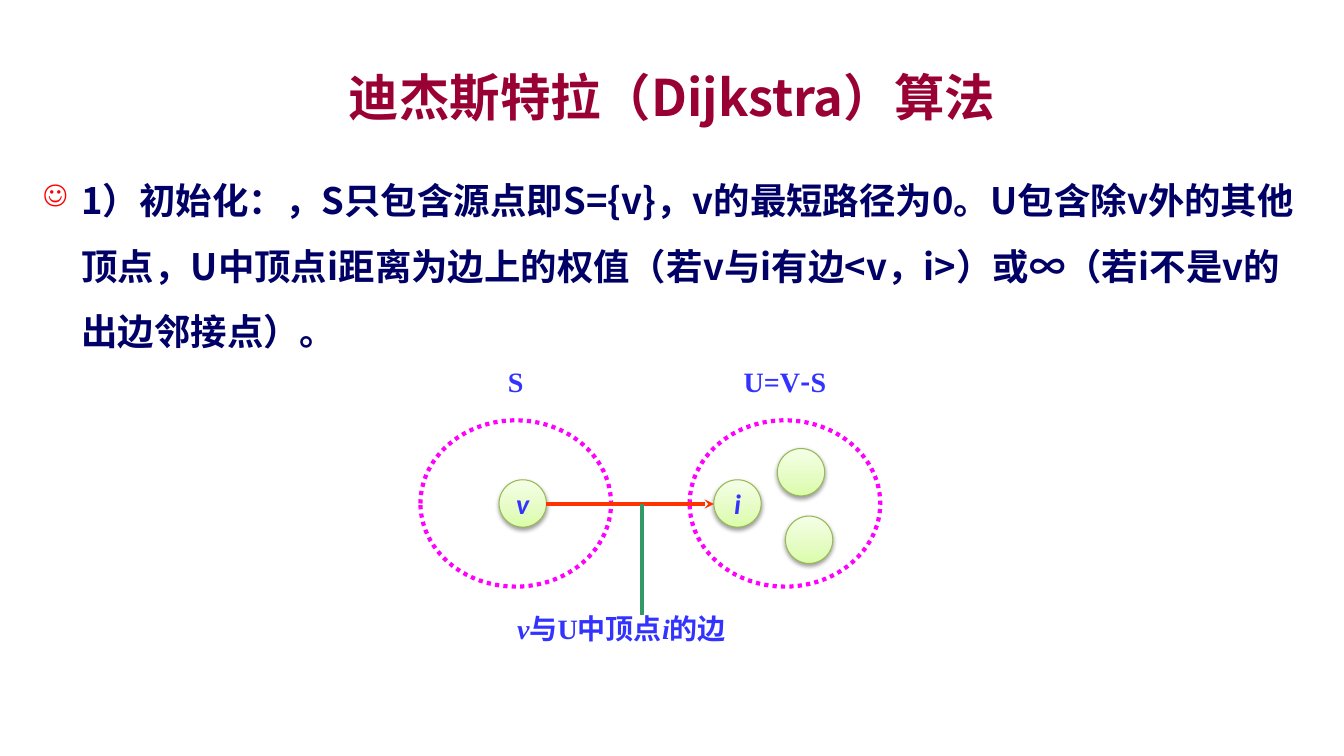
from lxml import etree
from pptx import Presentation
from pptx.dml.color import RGBColor
from pptx.enum.dml import MSO_LINE
from pptx.enum.shapes import MSO_CONNECTOR, MSO_SHAPE
from pptx.enum.text import MSO_ANCHOR, MSO_AUTO_SIZE, PP_ALIGN
from pptx.oxml import parse_xml
from pptx.oxml.ns import nsdecls, qn
from pptx.util import Inches, Pt

OVAL = MSO_SHAPE.OVAL
STRAIGHT = MSO_CONNECTOR.STRAIGHT
CENTER, LEFT = PP_ALIGN.CENTER, PP_ALIGN.LEFT
TOP, MIDDLE = MSO_ANCHOR.TOP, MSO_ANCHOR.MIDDLE
FIT = MSO_AUTO_SIZE.TEXT_TO_FIT_SHAPE

# Content
TITLE = "迪杰斯特拉（Dijkstra）算法"
STEP = ("1）初始化：，S只包含源点即S={v}，v的最短路径为0。"
        "U包含除v外的其他顶点，U中顶点i距离为边上的权值"
        "（若v与i有边<v，i>）或∞（若i不是v的出边邻接点）。")
# Sets: left edge, label width, label runs as (text, font)
SETS = [
    (4.17, 0.63, [("S", "serif")]),
    (6.84, 1.1, [("U=V", "serif"), ("-", "cjk"), ("S", "serif")]),
]
# Vertices: left, top, name
VERTICES = [(4.95, 4.76, "v"), (7.08, 4.76, "i"), (7.79, 5.12, ""), (7.71, 4.45, "")]
# Caption runs: text, italic
CAPTION = [("v", True), ("与U中顶点", False), ("i", True), ("的边", False)]

THEME = {
    "cjk": "Noto Sans CJK SC", "serif": "Times New Roman", "sans": "Calibri",
    "title": "990033", "body": "000066", "bullet": "FF0000", "label": "3333FF",
    "set": "FF00FF", "vertex": "98B955", "edge": "FF3300", "pointer": "339966",
    "vertex_stops": [(0, "DAFDA7"), (35, "E4FCC2"), (100, "F5FFE7")],
    "title_size": 36, "body_size": 26, "label_size": 20,
}
SET_W, SET_H, SET_TOP = 1.89, 1.65, 4.17
VERTEX_D = 0.47
EDGE_Y = 5

prs = Presentation()
prs.slide_width, prs.slide_height = Inches(13.33), Inches(7.5)
slide = prs.slides.add_slide(prs.slide_layouts[6])


def color(key):
    return RGBColor.from_string(THEME[key])


def add_run(paragraph, text, size, ink, font="cjk", italic=False):
    run = paragraph.add_run()
    run.text = text
    run.font.size = Pt(THEME[size])
    run.font.name = THEME[font]
    run.font.bold, run.font.italic = True, italic
    run.font.color.rgb = color(ink)
    east_asian = etree.Element(qn("a:ea"), typeface=THEME["cjk"])
    run.font._element.find(qn("a:latin")).addnext(east_asian)


def add_box(left, top, width, height, align=LEFT, anchor=TOP, inset=(0.1, 0.05)):
    frame = slide.shapes.add_textbox(
        Inches(left), Inches(top), Inches(width), Inches(height)).text_frame
    frame.word_wrap = True
    frame.vertical_anchor = anchor
    frame.margin_left = frame.margin_right = Inches(inset[0])
    frame.margin_top = frame.margin_bottom = Inches(inset[1])
    frame.paragraphs[0].alignment = align
    return frame


def add_oval(left, top, width, height, line, weight):
    oval = slide.shapes.add_shape(
        OVAL, Inches(left), Inches(top), Inches(width), Inches(height))
    oval.shadow.inherit = False
    oval.line.color.rgb = color(line)
    oval.line.width = Pt(weight)
    return oval


def add_vertex(left, top, name):
    vertex = add_oval(left, top, VERTEX_D, VERTEX_D, "vertex", 0.75)
    stops = "".join(f'<a:gs pos="{pos * 1000}"><a:srgbClr val="{rgb}"/></a:gs>'
                    for pos, rgb in THEME["vertex_stops"])
    props = vertex._element.spPr
    props.find(qn("a:prstGeom")).addnext(parse_xml(
        f'<a:gradFill {nsdecls("a")} rotWithShape="1"><a:gsLst>{stops}</a:gsLst>'
        '<a:lin ang="16200000" scaled="0"/></a:gradFill>'))
    props.find(qn("a:effectLst")).append(parse_xml(
        f'<a:outerShdw {nsdecls("a")} blurRad="40000" dist="20000" dir="5400000" '
        'rotWithShape="0"><a:srgbClr val="000000"><a:alpha val="38000"/>'
        '</a:srgbClr></a:outerShdw>'))
    if name:
        frame = vertex.text_frame
        frame.word_wrap = False
        frame.vertical_anchor = MIDDLE
        frame.paragraphs[0].alignment = CENTER
        add_run(frame.paragraphs[0], name, "label_size", "label", "sans", True)


def add_line(x1, y1, x2, y2, ink, weight):
    line = slide.shapes.add_connector(
        STRAIGHT, Inches(x1), Inches(y1), Inches(x2), Inches(y2))
    line.line.color.rgb = color(ink)
    line.line.width = Pt(weight)
    etree.SubElement(line._element.spPr, qn("a:effectLst"))
    return line


# Title
title = add_box(1, 0.58, 11.33, 0.75, CENTER, MIDDLE)
add_run(title.paragraphs[0], TITLE, "title_size", "title")

# Step with its bullet
body = add_box(0.33, 1.5, 12.67, 2.08)
body.auto_size = FIT
step = body.paragraphs[0]
step.line_spacing = 1.5
step.space_after = Pt(6)
step_props = step._p.get_or_add_pPr()
step_props.set("marL", str(Inches(0.38)))
step_props.set("indent", str(-Inches(0.38)))
bullet_color = etree.SubElement(step_props, qn("a:buClr"))
etree.SubElement(bullet_color, qn("a:srgbClr"), val=THEME["bullet"])
etree.SubElement(step_props, qn("a:buSzPct"), val="80000")
etree.SubElement(step_props, qn("a:buChar"), char="☺")
add_run(step, STEP, "body_size", "body")

# Sets with labels centred above them
for left, label_width, label_runs in SETS:
    outline = add_oval(left, SET_TOP, SET_W, SET_H, "set", 3)
    outline.fill.background()
    outline.line.dash_style = MSO_LINE.ROUND_DOT
    label_left = left + (SET_W - label_width) / 2
    label = add_box(label_left, 3.62, label_width, 0.34, CENTER, inset=(0, 0))
    for text, font in label_runs:
        add_run(label.paragraphs[0], text, "label_size", "label", font)

# Vertices
for vertex_spec in VERTICES:
    add_vertex(*vertex_spec)

# Caption
caption = add_box(5.03, 6.02, 2.99, 0.44)
for text, italic in CAPTION:
    add_run(caption.paragraphs[0], text, "label_size", "label", "serif", italic)

# Edge from v to i, and the pointer to its caption
edge = add_line(VERTICES[0][0] + VERTEX_D, EDGE_Y, VERTICES[1][0], EDGE_Y, "edge", 2.25)
etree.SubElement(edge.line._get_or_add_ln(), qn("a:tailEnd"), type="stealth")
add_line(6.37, EDGE_Y, 6.37, 6.1, "pointer", 3)

prs.save("out.pptx")
